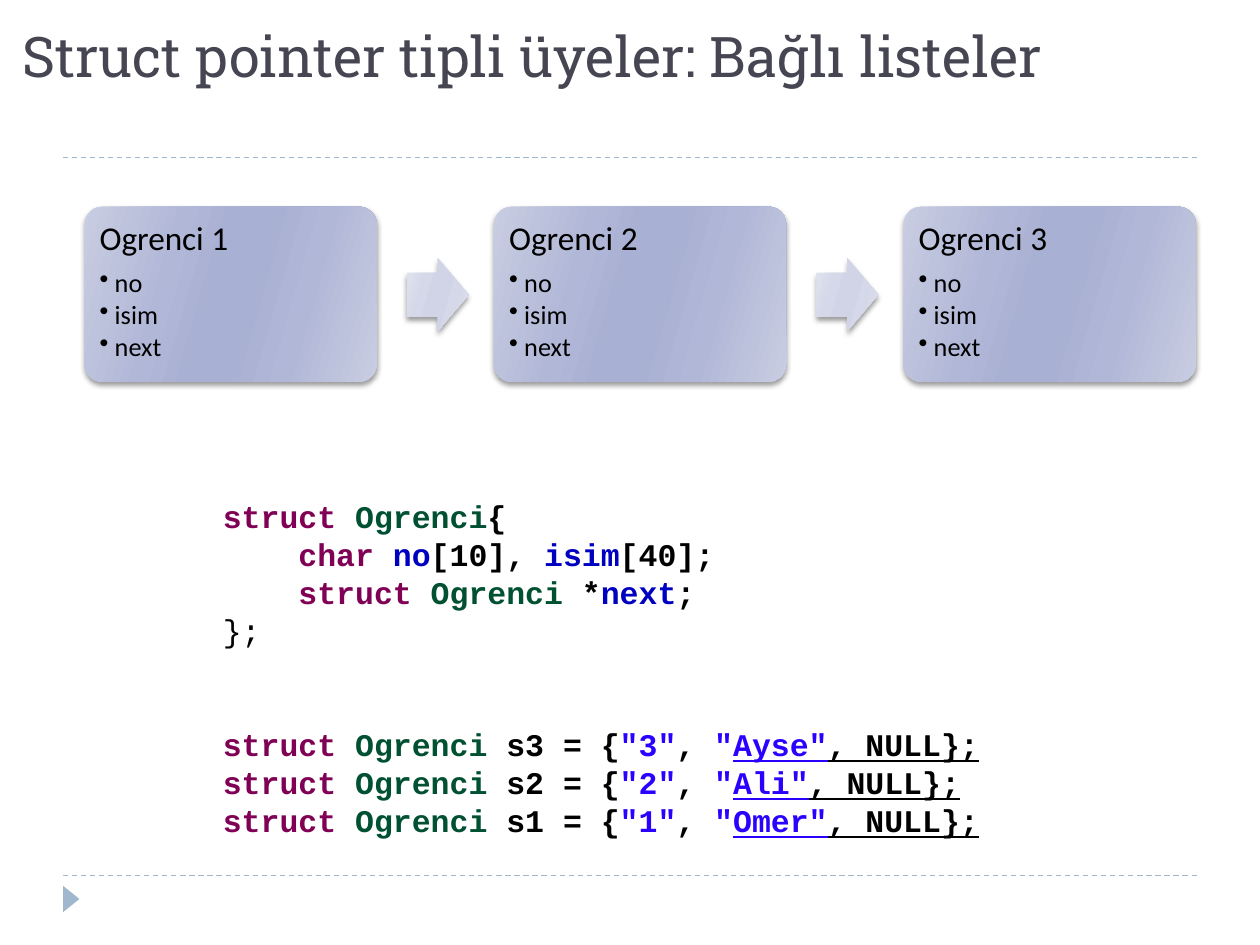
from dataclasses import dataclass

from lxml import etree
from pptx import Presentation
from pptx.dml.color import RGBColor
from pptx.enum.dml import MSO_LINE
from pptx.enum.shapes import MSO_CONNECTOR, MSO_SHAPE
from pptx.enum.text import MSO_ANCHOR, PP_ALIGN
from pptx.oxml.ns import qn
from pptx.util import Inches, Pt

CARD, ARROW = MSO_SHAPE.ROUNDED_RECTANGLE, MSO_SHAPE.RIGHT_ARROW
TRIANGLE = MSO_SHAPE.ISOSCELES_TRIANGLE
STRAIGHT, DASH = MSO_CONNECTOR.STRAIGHT, MSO_LINE.DASH
LEFT, TOP, BOTTOM = PP_ALIGN.LEFT, MSO_ANCHOR.TOP, MSO_ANCHOR.BOTTOM

BLACK, SLATE, STEEL = "000000", "464653", "9FB8CD"
WORD, KIND, FIELD, QUOTE = "7F0055", "005032", "0000C0", "2A00FF"
DARK = ("C9CDE2", "B1B7D7", "A8B0D3")
LIGHT = ("E1E3EE", "D4D8E8", "D0D4E6")
STEP = 3.25
PITCH = 21.7


@dataclass
class Token:
    text: str
    color: str = BLACK
    under: bool = False
    bold: bool = True


@dataclass
class Line:
    tokens: list[Token]
    indent: float = 0
    before: float = 0


def paint(target, color: str) -> None:
    target.rgb = RGBColor.from_string(color)


def style(run, font: str, size: float, color: str) -> None:
    run.font.name = font
    run.font.size = Pt(size)
    paint(run.font.color, color)


def rule(slide, y: float) -> None:
    line = slide.shapes.add_connector(
        STRAIGHT, Inches(0.5), Inches(y), Inches(9.5), Inches(y))
    paint(line.line.color, STEEL)
    line.line.width = Pt(0.75)
    line.line.dash_style = DASH
    etree.SubElement(line._element.spPr, qn("a:effectLst"))


def blend(shape, tones: tuple[str, str, str]) -> None:
    edge, mid, core = tones
    stops = zip((0, 30, 45, 55, 73, 100), (edge, mid, core, core, mid, edge))
    props = shape._element.spPr
    grad = etree.Element(qn("a:gradFill"), rotWithShape="1")
    items = etree.SubElement(grad, qn("a:gsLst"))
    for place, color in stops:
        stop = etree.SubElement(items, qn("a:gs"), pos=str(place * 1000))
        etree.SubElement(stop, qn("a:srgbClr"), val=color)
    etree.SubElement(grad, qn("a:lin"), ang=str(16 * 60000), scaled="0")
    props.find(qn("a:ln")).addprevious(grad)


def shade(shape) -> None:
    effects = shape._element.spPr.find(qn("a:effectLst"))
    outer = etree.SubElement(
        effects, qn("a:outerShdw"), blurRad=str(Pt(3)), dist=str(Pt(2)),
        dir=str(90 * 60000), rotWithShape="0")
    color = etree.SubElement(outer, qn("a:srgbClr"), val=BLACK)
    etree.SubElement(color, qn("a:alpha"), val="40000")


def block(slide, kind, x: float, y: float, w: float, h: float):
    shape = slide.shapes.add_shape(
        kind, Inches(x), Inches(y), Inches(w), Inches(h))
    shape.shadow.inherit = False
    shape.line.fill.background()
    return shape


def card(slide, x: float, title: str, fields: list[str]) -> None:
    shape = block(slide, CARD, x, 1.64, 2.32, 1.39)
    shape.adjustments[0] = 0.1
    blend(shape, DARK)
    shade(shape)
    frame = shape.text_frame
    frame.word_wrap = True
    frame.vertical_anchor = TOP
    frame.margin_left = frame.margin_right = Inches(0.08)
    frame.margin_top = frame.margin_bottom = Inches(0.08)
    frame.text = "\n".join([title, *fields])
    for spot, para in enumerate(frame.paragraphs):
        size, after = (15, 2.25) if spot else (19, 6.65)
        para.alignment = LEFT
        para.line_spacing = 0.9
        para.space_after = Pt(after)
        style(para.runs[0], "Calibri", size, BLACK)
        if spot:
            para.level = 1
            props = para._p.get_or_add_pPr()
            props.set("marL", str(Inches(0.12)))
            props.set("indent", str(Inches(-0.12)))
            etree.SubElement(props, qn("a:buChar"), char="•")


def arrow(slide, x: float) -> None:
    shape = block(slide, ARROW, x, 2.05, 0.49, 0.58)
    shape.adjustments[0] = 0.6
    shape.adjustments[1] = 0.5
    blend(shape, LIGHT)
    shade(shape)


def label(slide, x: float, y: float, w: float, h: float):
    box = slide.shapes.add_textbox(Inches(x), Inches(y), Inches(w), Inches(h))
    box.text_frame.word_wrap = True
    return box.text_frame


def record(name: str, number: str, person: str, before: float = 0) -> Line:
    return Line([
        Token("struct ", WORD), Token("Ogrenci ", KIND), Token(f"{name} = {{"),
        Token(f'"{number}"', QUOTE), Token(", "), Token('"', QUOTE),
        Token(f'{person}"', QUOTE, True), Token(", NULL};", BLACK, True),
    ], before=before)


def code(slide, lines: list[Line]) -> None:
    frame = label(slide, 1.67, 3.59, 6.58, 3.13)
    frame.margin_top = Inches(0.35)
    for spot, line in enumerate(lines):
        para = frame.add_paragraph() if spot else frame.paragraphs[0]
        para.line_spacing = Pt(PITCH)
        para.space_before = Pt(line.before)
        para._p.get_or_add_pPr().set("marL", str(Inches(line.indent)))
        for token in line.tokens:
            run = para.add_run()
            run.text = token.text
            style(run, "Courier New", 18, token.color)
            run.font.bold = token.bold
            run.font.underline = token.under


def main() -> None:
    deck = Presentation()
    deck.slide_width, deck.slide_height = Inches(10), Inches(7.5)
    slide = deck.slides.add_slide(deck.slide_layouts[6])

    for y in (6.95, 1.25):
        rule(slide, y)
    marker = block(slide, TRIANGLE, 0.46, 7.07, 0.21, 0.13)
    marker.rotation = 90
    marker.fill.solid()
    paint(marker.fill.fore_color, STEEL)

    title = label(slide, 0.08, 0.08, 9.42, 0.67)
    title.vertical_anchor = BOTTOM
    title.text = "Struct pointer tipli üyeler: Bağlı listeler"
    style(title.paragraphs[0].runs[0], "Roboto Slab", 32, SLATE)

    for spot in range(3):
        if spot:
            arrow(slide, 3.23 + (spot - 1) * STEP)
        card(slide, 0.67 + spot * STEP, f"Ogrenci {spot + 1}",
             ["no", "isim", "next"])

    code(slide, [
        Line([Token("struct ", WORD), Token("Ogrenci", KIND), Token("{")]),
        Line([Token("char ", WORD), Token("no", FIELD), Token("[10], "),
              Token("isim", FIELD), Token("[40];")], 0.6),
        Line([Token("struct ", WORD), Token("Ogrenci ", KIND), Token("*"),
              Token("next", FIELD), Token(";")], 0.6),
        Line([Token("};", bold=False)]),
        record("s3", "3", "Ayse", 2 * PITCH),
        record("s2", "2", "Ali"),
        record("s1", "1", "Omer"),
    ])
    deck.save("out.pptx")


if __name__ == "__main__":
    main()
